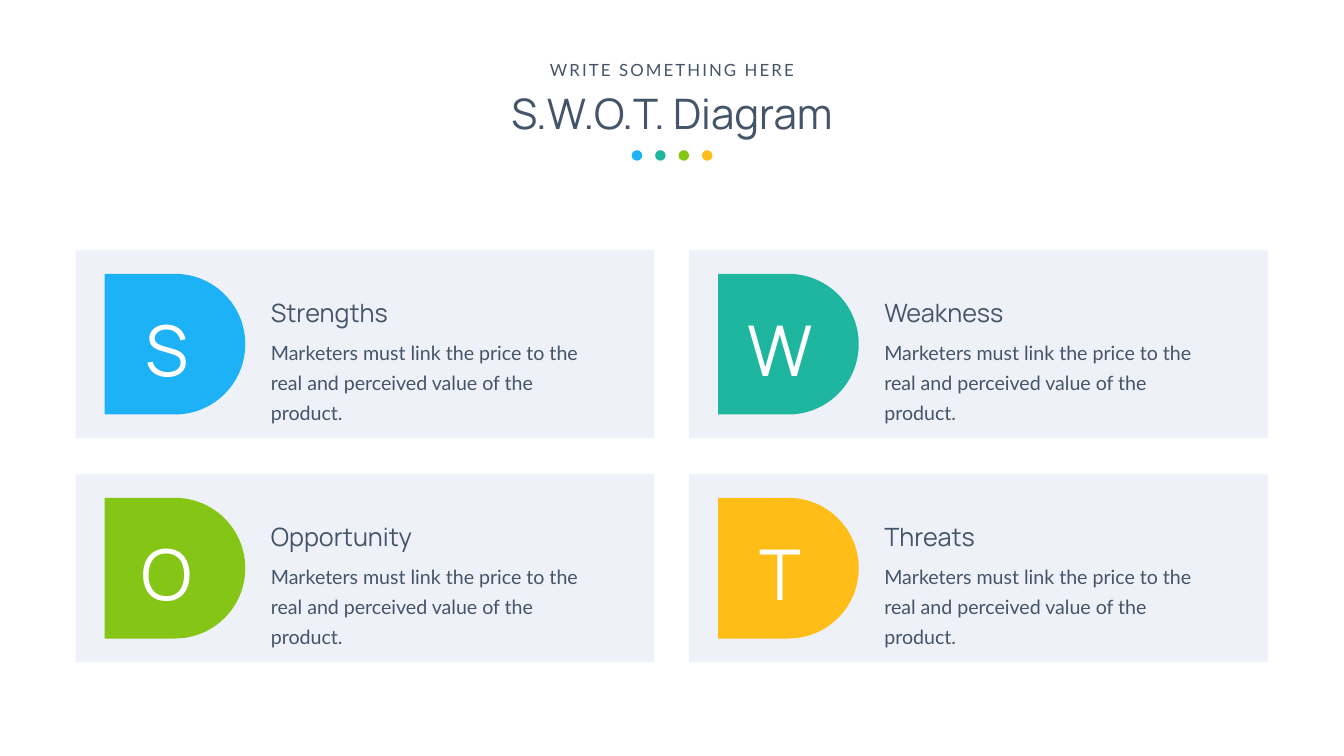
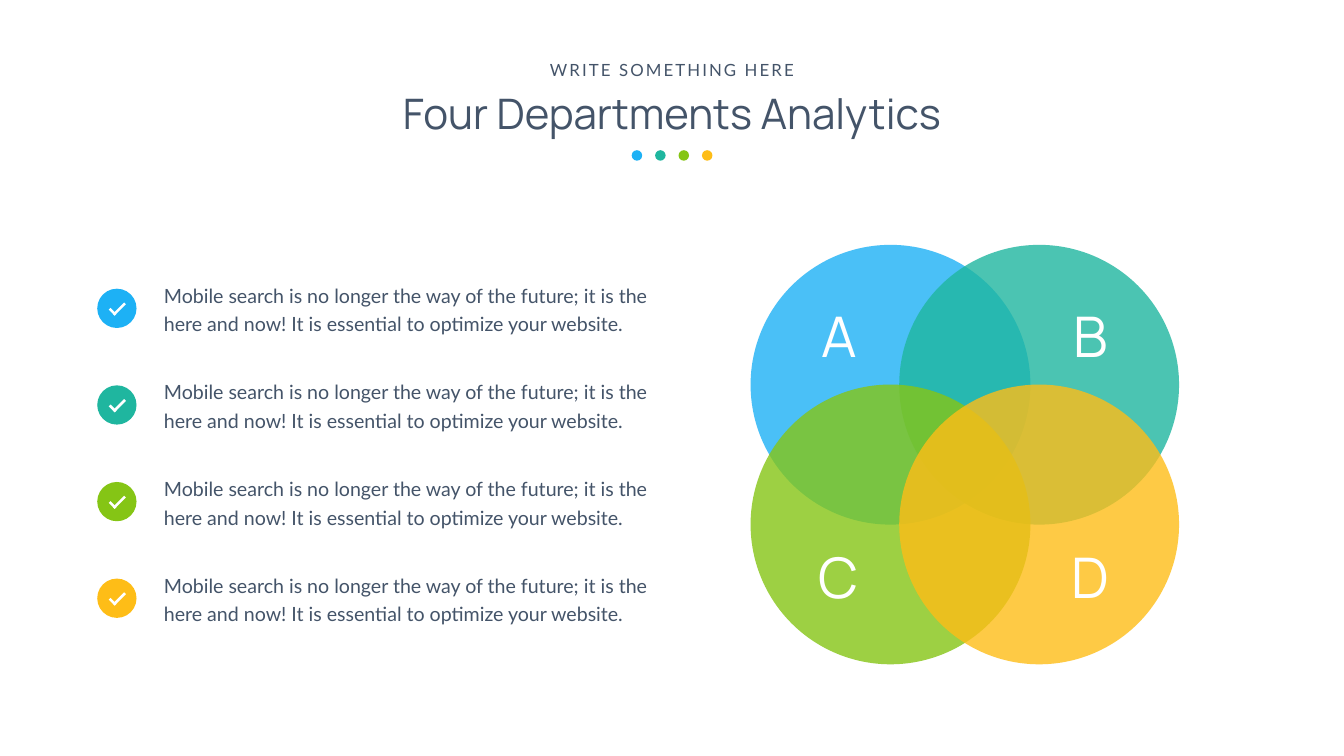
from dataclasses import dataclass
from lxml.etree import SubElement
from pptx import Presentation
from pptx.dml.color import RGBColor
from pptx.enum.shapes import MSO_SHAPE
from pptx.enum.text import MSO_ANCHOR, MSO_AUTO_SIZE, PP_ALIGN
from pptx.oxml.ns import qn
from pptx.shapes.autoshape import Shape
from pptx.shapes.shapetree import GroupShapes, SlideShapes
from pptx.slide import Slide
from pptx.util import Cm, Pt

Shapes = SlideShapes | GroupShapes
Box = tuple[float, float, float, float]  # left, top, width, height in cm

WIDTH, HEIGHT = 67.72, 38.1
HEADS, BODY = "Manrope", "Lato"
INK, WHITE, PANEL = "445469", "FFFFFF", "EFF1F8"
BLUE, TEAL, GREEN, AMBER = ACCENTS = ("1DB1F5", "1FB69F", "85C515", "FEBD17")
PRICE = "Marketers must link the price to the real and perceived value of the product."
SEARCH = (
    "Mobile search is no longer the way of the future; it is the here and now! "
    "It is essential to optimize your website."
)


@dataclass(frozen=True)
class Style:
    font: str
    size: float
    color: str = INK
    align: PP_ALIGN = PP_ALIGN.LEFT
    anchor: MSO_ANCHOR = MSO_ANCHOR.MIDDLE
    wrap: bool = True
    leading: float | None = None
    tracking: int = 0
    inset: tuple[float, float] = (0.25, 0.13)


TITLE = Style(HEADS, 60, align=PP_ALIGN.CENTER)
KICKER = Style(BODY, 24, align=PP_ALIGN.CENTER, wrap=False, tracking=300)
INITIAL = Style(HEADS, 100, WHITE, PP_ALIGN.CENTER)
LABEL = Style(HEADS, 80, WHITE, PP_ALIGN.CENTER)
TOPIC = Style(HEADS, 36, wrap=False)
DETAIL = Style(BODY, 28, anchor=MSO_ANCHOR.TOP, leading=43)
POINT = Style(BODY, 28, anchor=MSO_ANCHOR.TOP, leading=40.8, inset=(0.61, 0.3))


@dataclass(frozen=True)
class Card:
    topic: str
    color: str
    width: float


@dataclass(frozen=True)
class Circle:
    label: str
    color: str


CARDS = (
    Card("Strengths", BLUE, 6.76),
    Card("Weakness", TEAL, 7.16),
    Card("Opportunity", GREEN, 8.28),
    Card("Threats", AMBER, 5.38),
)
CIRCLES = tuple(Circle(label, color) for label, color in zip("ABCD", ACCENTS))


def paint(shape: Shape, color: str, alpha: int = 100) -> None:
    shape.fill.solid()
    shape.fill.fore_color.rgb = RGBColor.from_string(color)
    if alpha < 100:
        tint = shape.fill._xPr.find(".//" + qn("a:srgbClr"))
        SubElement(tint, qn("a:alpha"), val=str(alpha * 1000))


def add_form(shapes: Shapes, kind: MSO_SHAPE, box: Box, color: str,
             alpha: int = 100, turn: float = 0) -> None:
    shape = shapes.add_shape(kind, *map(Cm, box))
    shape.shadow.inherit = False
    shape.line.fill.background()
    shape.rotation = turn
    paint(shape, color, alpha)


def add_text(shapes: Shapes, text: str, box: Box, style: Style) -> None:
    frame = shapes.add_textbox(*map(Cm, box)).text_frame
    frame.text = text
    frame.word_wrap = style.wrap
    frame.auto_size = MSO_AUTO_SIZE.SHAPE_TO_FIT_TEXT
    frame.vertical_anchor = style.anchor
    frame.margin_left = frame.margin_right = Cm(style.inset[0])
    frame.margin_top = frame.margin_bottom = Cm(style.inset[1])
    line = frame.paragraphs[0]
    line.alignment = style.align
    if style.leading:
        line.line_spacing = Pt(style.leading)
    run = line.runs[0]
    run.font.name = style.font
    run.font.size = Pt(style.size)
    run.font.color.rgb = RGBColor.from_string(style.color)
    if style.tracking:
        run.font._element.set("spc", str(style.tracking))


def add_header(slide: Slide, title: str, width: float) -> None:
    shapes = slide.shapes.add_group_shape().shapes
    add_text(shapes, title, ((WIDTH - width) / 2, 4.27, width, 2.82), TITLE)
    add_text(shapes, "WRITE SOMETHING HERE", (27.33, 2.87, 13.06, 1.27), KICKER)
    for i, color in enumerate(ACCENTS):
        add_form(shapes, MSO_SHAPE.OVAL, (31.83 + i * 1.18, 7.57, 0.53, 0.53), color)


def add_card(shapes: Shapes, card: Card, left: float, top: float) -> None:
    add_form(shapes, MSO_SHAPE.RECTANGLE, (left, top, 29.16, 9.45), PANEL)
    add_form(shapes, MSO_SHAPE.FLOWCHART_DELAY,
             (left + 1.46, top + 1.18, 7.09, 7.09), card.color)
    add_text(shapes, card.topic[0], (left + 1.08, top + 2.7, 7.04, 4.52), INITIAL)
    add_text(shapes, card.topic, (left + 9.59, top + 2.24, card.width, 1.8), TOPIC)
    add_text(shapes, PRICE, (left + 9.59, top + 4.08, 17.55, 3.15), DETAIL)


def add_point(slide: Slide, color: str, top: float) -> None:
    """Draw one ticked line of the list."""
    shapes = slide.shapes.add_group_shape().shapes
    add_text(shapes, SEARCH, (7.65, top, 27.05, 3.5), POINT)
    add_form(shapes, MSO_SHAPE.OVAL, (4.9, top + 0.81, 1.98, 1.98), color)
    add_form(shapes, MSO_SHAPE.RECTANGLE, (5.46, top + 1.91, 0.43, 0.13), WHITE, turn=45)
    add_form(shapes, MSO_SHAPE.RECTANGLE, (5.61, top + 1.77, 0.81, 0.13), WHITE, turn=315)


def draw_swot(slide: Slide) -> None:
    add_header(slide, "S.W.O.T. Diagram", 40.79)
    for i, card in enumerate(CARDS):
        row, col = divmod(i, 2)
        add_card(slide.shapes, card, 3.81 + col * 30.91, 12.62 + row * 11.29)


def draw_venn(slide: Slide) -> None:
    add_header(slide, "Four Departments Analytics", 38.33)
    group = slide.shapes.add_group_shape().shapes
    for i, circle in enumerate(CIRCLES):
        row, col = divmod(i, 2)
        add_form(group, MSO_SHAPE.OVAL,
                 (37.82 + col * 7.49, 12.34 + row * 7.04, 14.1, 14.1), circle.color, 80)
    for i, circle in enumerate(CIRCLES):
        row, col = divmod(i, 2)
        add_text(slide.shapes, circle.label,
                 (40.16 + col * 12.67, 15.06 + row * 12.12, 4.22, 3.68), LABEL)
    for i, color in enumerate(ACCENTS):
        add_point(slide, color, 13.74 + i * 4.87)


def main() -> None:
    deck = Presentation()
    deck.slide_width, deck.slide_height = Cm(WIDTH), Cm(HEIGHT)
    blank = deck.slide_layouts[6]
    for draw in (draw_swot, draw_venn):
        draw(deck.slides.add_slide(blank))
    deck.save("out.pptx")


if __name__ == "__main__":
    main()
